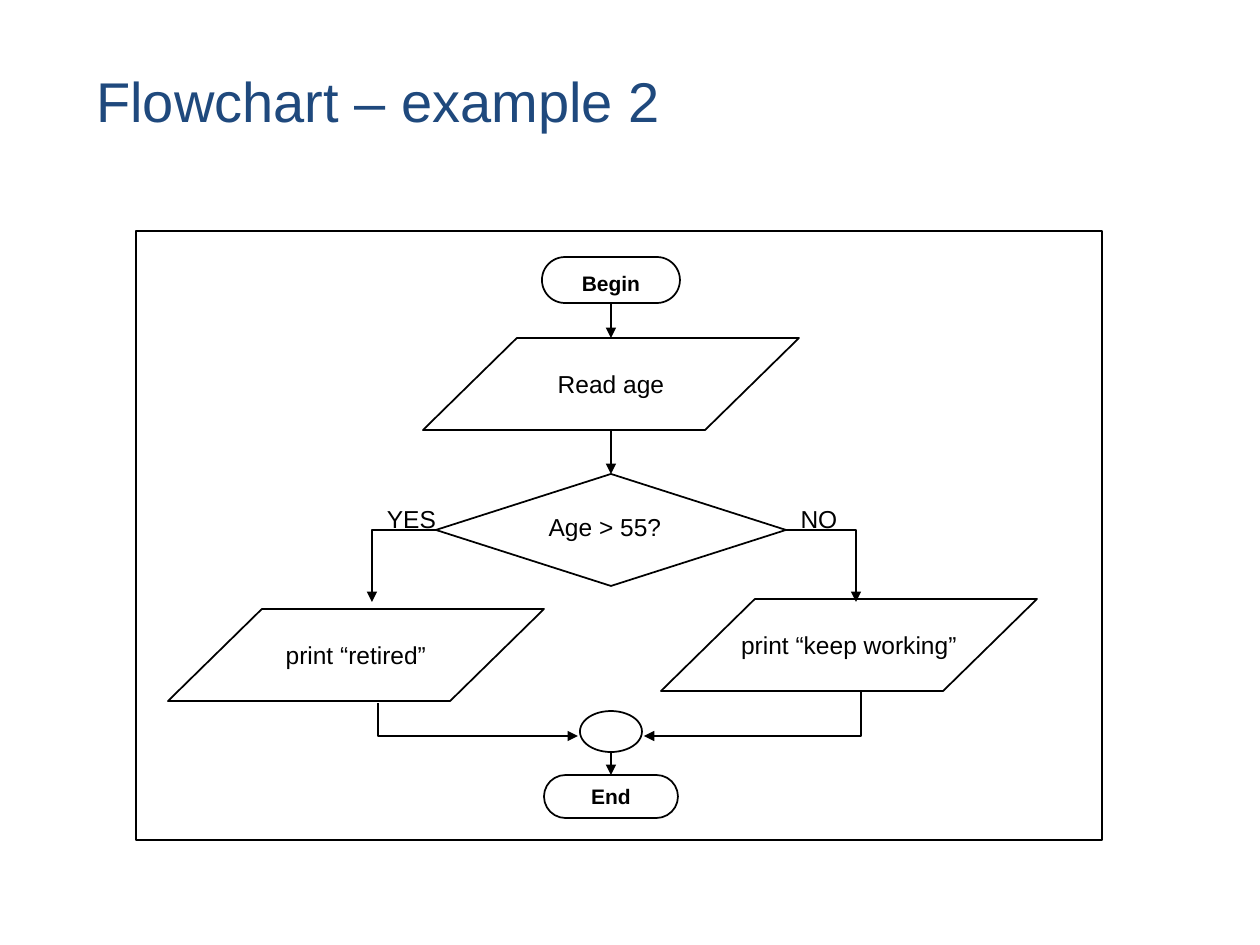
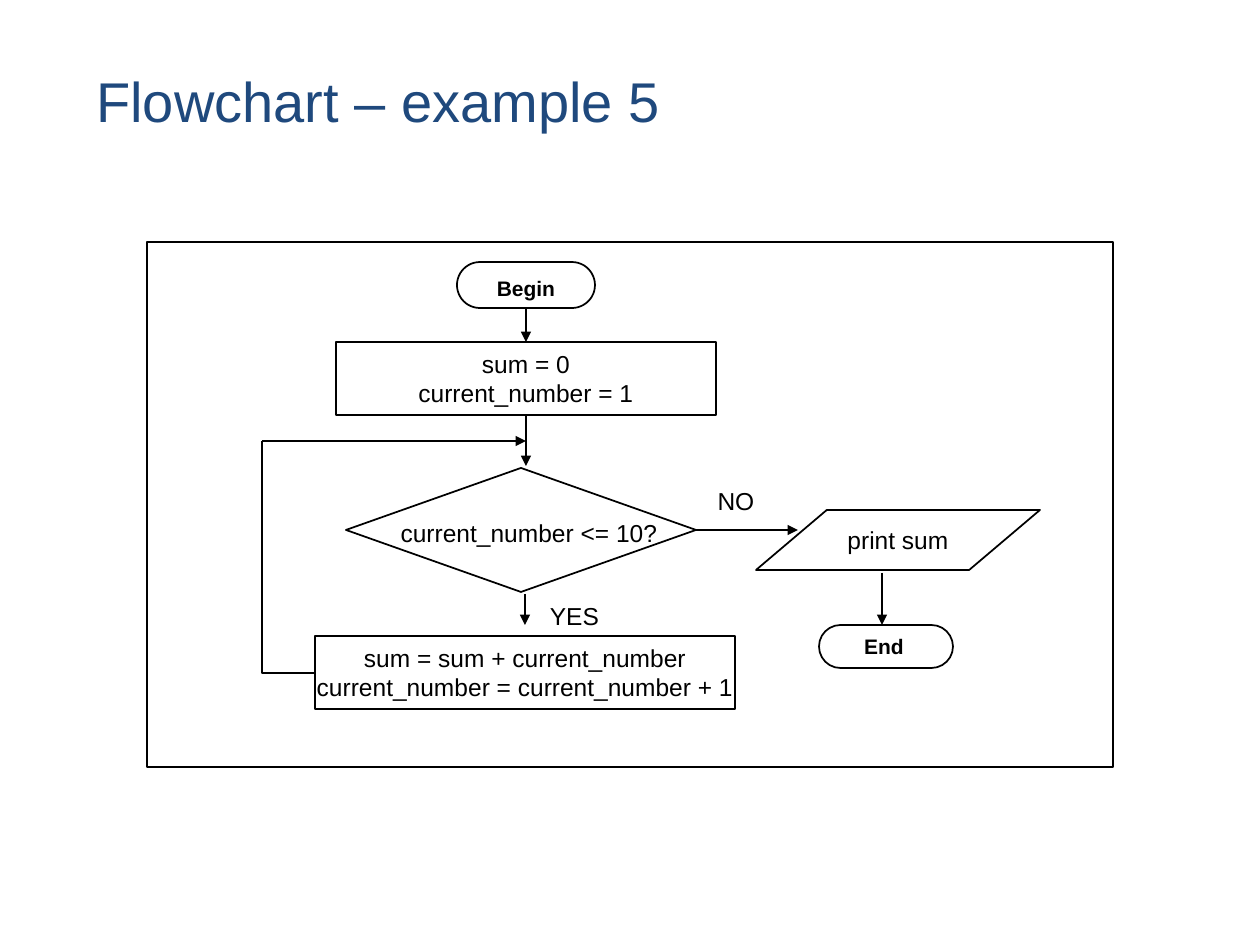
from pptx import Presentation
from pptx.dml.color import RGBColor
from pptx.enum.shapes import MSO_CONNECTOR, MSO_SHAPE
from pptx.enum.text import MSO_ANCHOR, PP_ALIGN
from pptx.oxml.ns import qn
from pptx.util import Pt
from lxml import etree

PX = 914400 / 126
BLACK, WHITE, TITLE_BLUE = "000000", "FFFFFF", "1F497D"
TOP, LEFT, BOTTOM, RIGHT = range(4)

TITLE_BOX = (84, 32, 1124, 136)
TITLE_FONT = {"name": "Arial", "size": Pt(32)}
NODE_FONT = {"name": "Arial", "size": Pt(14)}
END_FONT = {"name": "Arial", "size": Pt(12), "bold": True}


def px(n):
    return round(n * PX)


def rgb(color):
    return RGBColor.from_string(color)


def set_all(obj, values):
    for name, value in values.items():
        setattr(obj, name, value)


def write(tf, text, font, color=BLACK, align=PP_ALIGN.CENTER, **frame):
    set_all(tf, {"word_wrap": False, "vertical_anchor": MSO_ANCHOR.MIDDLE, **frame})
    for i, line in enumerate(text.split("\n")):
        p = tf.paragraphs[0] if i == 0 else tf.add_paragraph()
        p.alignment = align
        r = p.add_run()
        r.text = line
        set_all(r.font, font)
        r.font.color.rgb = rgb(color)


def style_line(line, width, arrow=False):
    line.color.rgb = rgb(BLACK)
    line.width = Pt(width)
    if arrow:
        ln = line._get_or_add_ln()
        etree.SubElement(ln, qn("a:tailEnd"), type="triangle")


class Flowchart:
    """A framed chart whose parts are placed relative to the frame's corner."""

    def __init__(self, slide, box):
        self.shapes = slide.shapes
        self.x, self.y, w, h = box
        self.node(MSO_SHAPE.RECTANGLE, (0, 0, w, h), fill=None, width=0.75)

    def place(self, box):
        x, y, w, h = box
        return px(self.x + x), px(self.y + y), px(w), px(h)

    def node(self, kind, box, text="", font=NODE_FONT, fill=WHITE, width=1,
             adj=None, dx=0, dy=0):
        sp = self.shapes.add_shape(kind, *self.place(box))
        sp.shadow.inherit = False
        if adj is not None:
            sp.adjustments[0] = adj
        if fill:
            sp.fill.solid()
            sp.fill.fore_color.rgb = rgb(fill)
        else:
            sp.fill.background()
        style_line(sp.line, width)
        if text:
            # Unequal margins shift the text by (dx, dy) from the centre
            write(sp.text_frame, text, font,
                  margin_left=px(max(2 * dx, 0)), margin_right=px(max(-2 * dx, 0)),
                  margin_top=px(max(2 * dy, 0)), margin_bottom=px(max(-2 * dy, 0)))
        return sp

    def terminator(self, box, text, **shift):
        return self.node(MSO_SHAPE.ROUNDED_RECTANGLE, box, text, END_FONT,
                         adj=0.5, **shift)

    def data(self, box, text, adj=1.02):
        return self.node(MSO_SHAPE.PARALLELOGRAM, box, text, adj=adj)

    def decision(self, box, text, **shift):
        return self.node(MSO_SHAPE.DIAMOND, box, text, fill=None, **shift)

    def process(self, box, text):
        return self.node(MSO_SHAPE.RECTANGLE, box, text, fill=None)

    def label(self, x, y, w, text):
        sp = self.shapes.add_textbox(*self.place((x, y, w, 43)))
        write(sp.text_frame, text, NODE_FONT, margin_left=0, margin_right=0)

    def arrow(self, start, end, width=1, begin=None, finish=None):
        (x1, y1), (x2, y2) = start, end
        c = self.shapes.add_connector(
            MSO_CONNECTOR.STRAIGHT, px(self.x + x1), px(self.y + y1),
            px(self.x + x2), px(self.y + y2))
        if begin:
            c.begin_connect(*begin)
        if finish:
            c.end_connect(*finish)
        style_line(c.line, width, arrow=True)
        etree.SubElement(c._element.spPr, qn("a:effectLst"))

    def elbow(self, *points, width=1, arrow=True):
        pts = [(self.x + x, self.y + y) for x, y in points]
        fb = self.shapes.build_freeform(*pts[0], scale=PX)
        fb.add_line_segments(pts[1:], close=False)
        sp = fb.convert_to_shape()
        sp.shadow.inherit = False
        sp.fill.background()
        style_line(sp.line, width, arrow)


def add_slide(prs, title):
    s = prs.slides.add_slide(prs.slide_layouts[6])
    sp = s.shapes.add_textbox(*map(px, TITLE_BOX))
    write(sp.text_frame, title, TITLE_FONT, TITLE_BLUE, PP_ALIGN.LEFT, word_wrap=True)
    return s


def age_chart(slide, box):
    fc = Flowchart(slide, box)
    axis = 475

    # Main column
    begin = fc.terminator((axis - 69, 26, 138, 46), "Begin", dy=3)
    fc.data((axis - 188, 107, 376, 92), "Read age")
    test = fc.decision((axis - 175, 243, 350, 112), "Age > 55?", dx=-6, dy=-3)
    fc.node(MSO_SHAPE.OVAL, (axis - 31, 480, 62, 41))
    end = fc.terminator((axis - 67, 544, 134, 43), "End")

    # Branches
    fc.data((32, 378, 376, 92), "print “retired”")
    fc.data((525, 368, 376, 92), "print “keep working”")
    fc.label(237, 266, 77, "YES")
    fc.label(650, 266, 66, "NO")

    # Arrows
    fc.arrow((axis, 72), (axis, 107), begin=(begin, BOTTOM))
    fc.arrow((axis, 199), (axis, 243), finish=(test, TOP))
    fc.arrow((axis, 521), (axis, 544), finish=(end, TOP))
    fc.elbow((300, 299), (236, 299), (236, 371))
    fc.elbow((650, 299), (720, 299), (720, 371))
    fc.elbow((242, 472), (242, 505), (442, 505))
    fc.elbow((725, 460), (725, 505), (508, 505))


def sum_chart(slide, box):
    fc = Flowchart(slide, box)
    axis = 379

    # Loop column
    begin = fc.terminator((axis - 69, 20, 138, 46), "Begin", dy=3)
    setup = fc.process((axis - 190, 100, 380, 73), "sum = 0\ncurrent_number = 1")
    test = fc.decision((199, 226, 350, 124), "current_number <= 10?", dx=8, dy=3)
    fc.process((168, 394, 420, 73),
               "sum = sum + current_number\ncurrent_number = current_number + 1")

    # Exit branch
    fc.data((609, 268, 284, 60), "print sum", adj=1.18)
    fc.terminator((672, 383, 134, 43), "End", dx=-2)
    fc.label(556, 237, 66, "NO")
    fc.label(389, 352, 77, "YES")

    # Arrows
    fc.arrow((axis, 66), (axis, 100), begin=(begin, BOTTOM), finish=(setup, TOP))
    fc.arrow((axis, 173), (axis, 224), begin=(setup, BOTTOM))
    fc.arrow((378, 352), (378, 383), 0.75)
    fc.arrow((549, 288), (651, 288), 0.75, begin=(test, RIGHT))
    fc.arrow((735, 331), (735, 383), 0.75)

    # Way back to the test
    fc.elbow((168, 431), (115, 431), (115, 199), width=0.75, arrow=False)
    fc.arrow((115, 199), (axis, 199), 0.75)


def main():
    prs = Presentation()
    prs.slide_width, prs.slide_height = px(1260), px(945)
    age_chart(add_slide(prs, "Flowchart – example 2"), (136, 231, 966, 609))
    sum_chart(add_slide(prs, "Flowchart – example 5"), (147, 242, 966, 525))
    prs.save("out.pptx")


if __name__ == "__main__":
    main()
